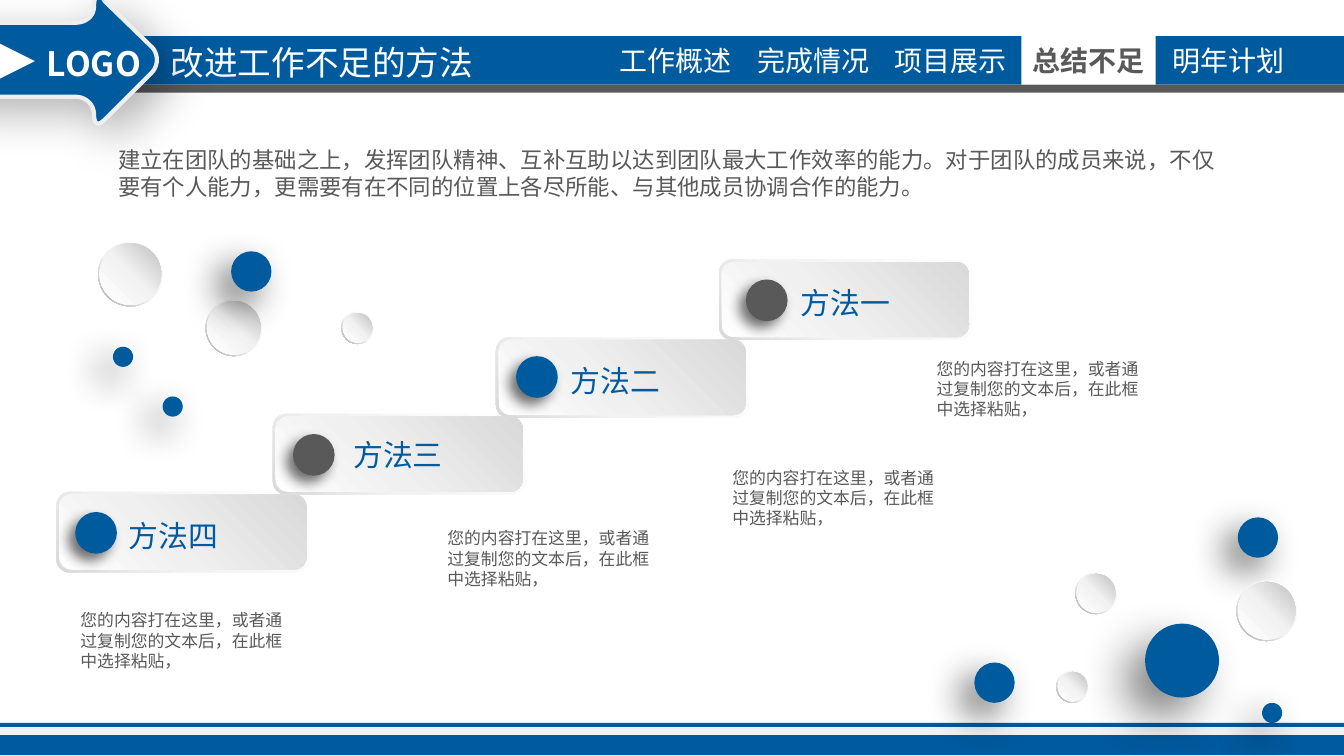
from lxml.etree import SubElement
from pptx import Presentation
from pptx.dml.color import RGBColor
from pptx.enum.shapes import MSO_SHAPE
from pptx.enum.text import MSO_ANCHOR, MSO_AUTO_SIZE, PP_ALIGN
from pptx.oxml.ns import qn
from pptx.util import Inches, Pt

FONT = "Noto Sans CJK SC"
COLORS = {"blue": "005A9E", "gray": "595959", "white": "FFFFFF",
          "pale": "F2F2F2", "edge": "EEEEEE", "black": "000000"}

# Gradients: angle in degrees clockwise, then (position %, colour) stops
CARD_RIM = (135, [(0, "FFFFFF"), (62, "F2F2F2"), (100, "D9D9D9")])
CARD_FACE = (315, [(0, "FFFFFF"), (42, "F0F0F0"), (100, "D9D9D9")])
BUBBLE_RIM = (135, [(0, "FFFFFF"), (55, "F2F2F2"), (100, "A6A6A6")])
BUBBLE_FACE = (315, [(0, "FFFFFF"), (51, "F2F2F2"), (100, "BFBFBF")])

# Shadows: opacity %, blur pt, distance pt, direction in degrees
ARROW_SHADOW = (30, 25, 10, 45)
DOT_SHADOW = (57, 7, 5, 135)
BALL_SHADOW = (60, 20, 10, 135)
BIG_BALL_SHADOW = (50, 25, 15, 135)

TABS = {"工作概述": 4.53, "完成情况": 5.55, "项目展示": 6.57,
        "总结不足": 7.6, "明年计划": 8.64}
ACTIVE_TAB = "总结不足"
BAND_TOP, BAND_HEIGHT = 0.27, 0.36
INTRO = ["建立在团队的基础之上，发挥团队精神、互补互助以达到团队最大工作效率的能力。"
         "对于团队的成员来说，不仅",
         "要有个人能力，更需要有在不同的位置上各尽所能、与其他成员协调合作的能力。"]
DETAIL = "您的内容打在这里，或者通过复制您的文本后，在此框中选择粘贴，"

# Title, card corner, dot corner, dot colour, title corner, detail corner
METHODS = [
    ("方法四", (0.42, 3.66), (0.56, 3.81), "blue", (0.86, 3.8), (0.5, 4.49)),
    ("方法三", (2.03, 3.08), (2.18, 3.23), "gray", (2.53, 3.2), (3.23, 3.88)),
    ("方法二", (3.69, 2.51), (3.84, 2.65), "blue", (4.15, 2.65), (5.35, 3.43)),
    ("方法一", (5.35, 1.93), (5.55, 2.08), "gray", (5.86, 2.07), (6.87, 2.62)),
]
# Left, top, diameter
BUBBLES = [(0.73, 1.8, 0.48), (1.53, 2.23, 0.42), (7.86, 4.99, 0.24),
           (8, 4.26, 0.31), (9.2, 4.32, 0.45), (2.54, 2.32, 0.24)]
BACK_BALL = (9.21, 3.85, 0.3)
FRONT_BALLS = [(1.72, 1.87, 0.3), (0.84, 2.58, 0.15), (7.25, 4.93, 0.3),
               (1.21, 2.95, 0.15), (9.39, 5.23, 0.15)]

# Two numbers make a line, six make a cubic curve
ARROW_START = (0.73, -0.03)
ARROW_STEPS = [
    (0.75, -0.03, 0.77, -0.01, 0.78, 0.01), (1.13, 0.35),
    (1.18, 0.4, 1.18, 0.49, 1.13, 0.54), (0.78, 0.89),
    (0.73, 0.94, 0.7, 0.93, 0.7, 0.85), (0.7, 0.78, 0.64, 0.72, 0.56, 0.72),
    (-0.3, 0.72), (-0.37, 0.72, -0.43, 0.65, -0.43, 0.58),
    (-0.43, 0.31), (-0.43, 0.24, -0.37, 0.17, -0.3, 0.17),
    (0.56, 0.17), (0.64, 0.17, 0.7, 0.12, 0.7, 0.05),
    (0.7, 0, 0.71, -0.03, 0.73, -0.03),
]


def rgb(name):
    return RGBColor.from_string(COLORS[name])


def flatten(start, steps, pieces=10):
    """Turn lines and cubic curves into a list of points."""
    points = [start]
    for step in steps:
        if len(step) == 2:
            points.append(step)
            continue
        corners = [points[-1], step[:2], step[2:4], step[4:]]
        for index in range(1, pieces + 1):
            t = index / pieces
            weights = [(1 - t) ** 3, 3 * t * (1 - t) ** 2, 3 * t * t * (1 - t), t ** 3]
            points.append(tuple(sum(w * corner[axis] for w, corner in zip(weights, corners))
                                for axis in (0, 1)))
    return points


def write(frame, text, size=12, color="gray", bold=False, align=None):
    """Fill a text frame; a list of strings gives one paragraph each."""
    lines = [text] if isinstance(text, str) else text
    for index, line in enumerate(lines):
        para = frame.add_paragraph() if index else frame.paragraphs[0]
        para.alignment = align
        span = para.add_run()
        span.text = line
        span.font.name = FONT
        span.font.size = Pt(size)
        span.font.bold = bold
        span.font.color.rgb = rgb(color)
        SubElement(span.font._element, qn("a:ea"), typeface=FONT)


class SlideBuilder:
    def __init__(self, page):
        self.page = page

    def paint(self, shape, fill, shadow=None):
        """Fill with a colour name or a gradient, and set the shadow."""
        properties = shape._element.spPr
        if isinstance(fill, str):
            shape.fill.solid()
            shape.fill.fore_color.rgb = rgb(fill)
        else:
            angle, stops = fill
            shape.fill.gradient()
            shape.fill.gradient_angle = 360 - angle
            stop_list = properties.find(qn("a:gradFill")).find(qn("a:gsLst"))
            for stop in list(stop_list):
                stop_list.remove(stop)
            for position, color in stops:
                stop = SubElement(stop_list, qn("a:gs"), pos=str(position * 1000))
                SubElement(stop, qn("a:srgbClr"), val=color)
        shape.line.fill.background()
        shape.shadow.inherit = False
        if shadow:
            opacity, blur, distance, direction = shadow
            outer = SubElement(properties.find(qn("a:effectLst")), qn("a:outerShdw"),
                               blurRad=str(Pt(blur)), dist=str(Pt(distance)),
                               dir=str(direction * 60000), algn="ctr", rotWithShape="0")
            color = SubElement(outer, qn("a:srgbClr"), val=COLORS["black"])
            SubElement(color, qn("a:alpha"), val=str(opacity * 1000))

    def shape(self, kind, left, top, width, height, fill, shadow=None, parent=None):
        shape = (parent or self.page).shapes.add_shape(
            kind, Inches(left), Inches(top), Inches(width), Inches(height))
        self.paint(shape, fill, shadow)
        return shape

    def bar(self, left, top, width, height, fill):
        return self.shape(MSO_SHAPE.RECTANGLE, left, top, width, height, fill)

    def circle(self, left, top, size, fill, shadow=None, parent=None):
        return self.shape(MSO_SHAPE.OVAL, left, top, size, size, fill, shadow, parent)

    def text(self, left, top, width, height, text, wrap=True, inset=(0.1, 0.05), **style):
        box = self.page.shapes.add_textbox(
            Inches(left), Inches(top), Inches(width), Inches(height))
        frame = box.text_frame
        frame.word_wrap = wrap
        frame.auto_size = MSO_AUTO_SIZE.SHAPE_TO_FIT_TEXT
        frame.margin_left = frame.margin_right = Inches(inset[0])
        frame.margin_top = frame.margin_bottom = Inches(inset[1])
        write(frame, text, **style)

    def tab(self, left, text, active):
        tab = self.bar(left, BAND_TOP, 1, BAND_HEIGHT, "white" if active else "blue")
        if not active:
            tab.fill.background()
        frame = tab.text_frame
        frame.word_wrap = True
        frame.margin_left = frame.margin_right = Inches(0.07)
        frame.margin_top = frame.margin_bottom = Inches(0.04)
        frame.vertical_anchor = MSO_ANCHOR.MIDDLE
        write(frame, text, size=15, bold=active,
              color="gray" if active else "white", align=PP_ALIGN.CENTER)

    def arrow(self):
        points = [(Inches(x), Inches(y)) for x, y in flatten(ARROW_START, ARROW_STEPS)]
        builder = self.page.shapes.build_freeform(*points[0])
        builder.add_line_segments(points[1:], close=True)
        arrow = builder.convert_to_shape()
        self.paint(arrow, "blue", ARROW_SHADOW)
        arrow.line.color.rgb = rgb("edge")
        arrow.line.width = Pt(2.25)

    def card(self, corner, dot_corner, dot_color):
        left, top = corner
        group = self.page.shapes.add_group_shape()
        kind = MSO_SHAPE.ROUNDED_RECTANGLE
        self.shape(kind, left, top, 1.88, 0.6, CARD_RIM, parent=group)
        self.shape(kind, left + 0.02, top + 0.02, 1.84, 0.56, CARD_FACE, parent=group)
        self.circle(*dot_corner, 0.31, dot_color, DOT_SHADOW, group)

    def bubble(self, left, top, size):
        group = self.page.shapes.add_group_shape()
        rim = self.shape(MSO_SHAPE.DONUT, left, top, size, size, BUBBLE_RIM, parent=group)
        rim.adjustments[0] = 0.05
        self.circle(left + 0.01, top + 0.01, size - 0.02, BUBBLE_FACE, parent=group)


def main():
    deck = Presentation()
    deck.slide_width, deck.slide_height = Inches(10), Inches(10 * 9 / 16)
    builder = SlideBuilder(deck.slides.add_slide(deck.slide_layouts[6]))

    builder.bar(0, 5.38, 10, 0.24, "blue")
    builder.bar(0, 5.41, 10, 0.06, "pale")
    builder.bar(0, BAND_TOP, 10, BAND_HEIGHT, "blue")
    builder.bar(0, 0.63, 10, 0.06, "gray")
    for name, left in TABS.items():
        builder.tab(left, name, name == ACTIVE_TAB)
    builder.text(1.2, 0.27, 2.42, 0.38, "改进工作不足的方法", wrap=False,
                 inset=(0.07, 0.04), size=18, color="white")
    builder.arrow()
    builder.text(0.28, 0.28, 1, 0.38, "LOGO", inset=(0.07, 0.04),
                 size=18, color="white", bold=True)
    pointer = builder.shape(MSO_SHAPE.FLOWCHART_EXTRACT, -0.05, 0.3, 0.31, 0.31, "white")
    pointer.rotation = 90
    builder.text(0.78, 1.04, 8.45, 0.5, INTRO, wrap=False)

    for _, corner, dot_corner, dot_color, _, _ in METHODS:
        builder.card(corner, dot_corner, dot_color)
    for title, _, _, _, title_corner, detail_corner in METHODS:
        builder.text(*title_corner, 0.88, 0.37, title, wrap=False, size=16, color="blue")
        builder.text(*detail_corner, 1.71, 0.56, DETAIL, size=9)

    builder.circle(8.52, 4.64, 0.55, "blue", BIG_BALL_SHADOW)
    builder.circle(*BACK_BALL, "blue", BALL_SHADOW)
    for bubble in BUBBLES:
        builder.bubble(*bubble)
    for ball in FRONT_BALLS:
        builder.circle(*ball, "blue", BALL_SHADOW)
    deck.save("out.pptx")


if __name__ == "__main__":
    main()
